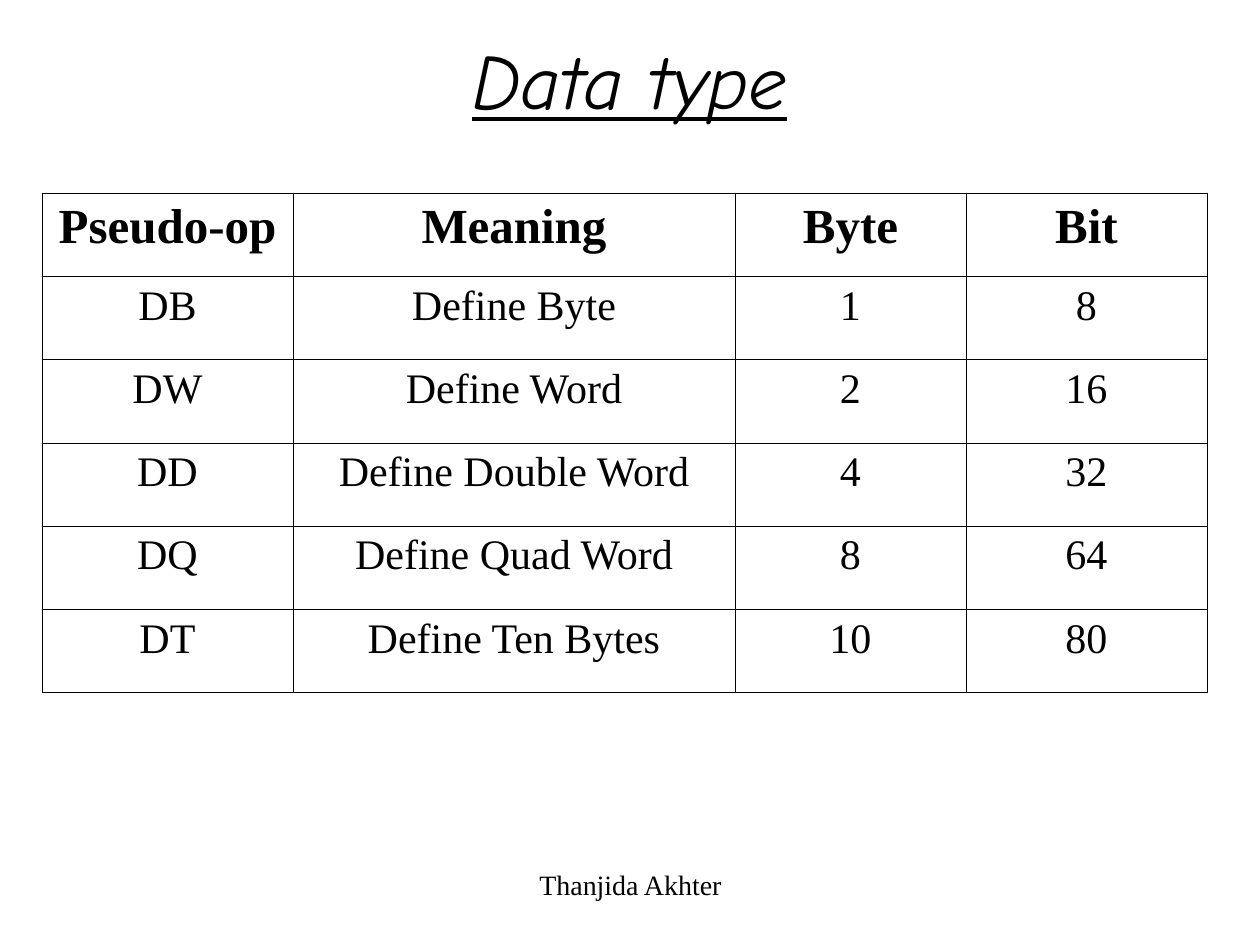
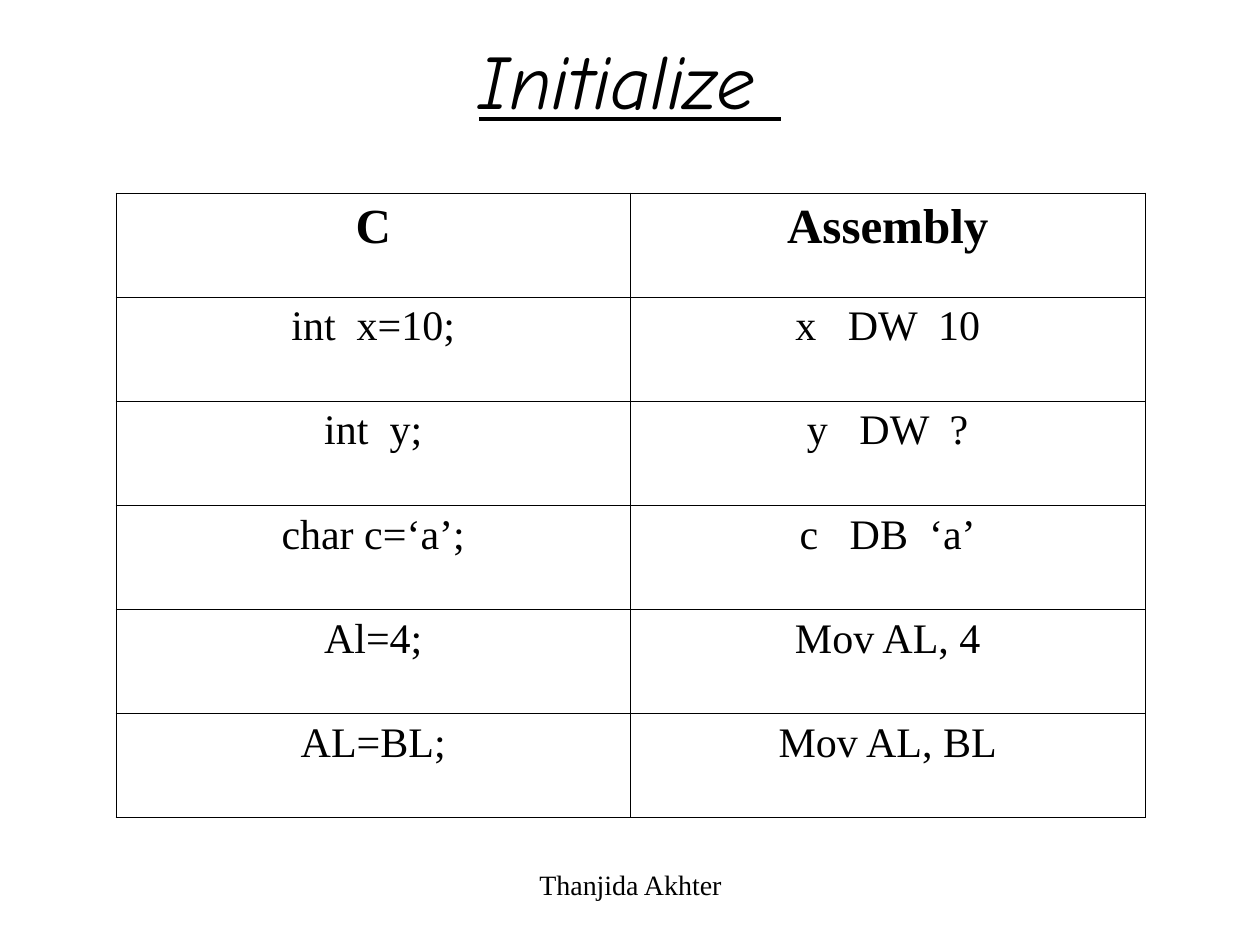
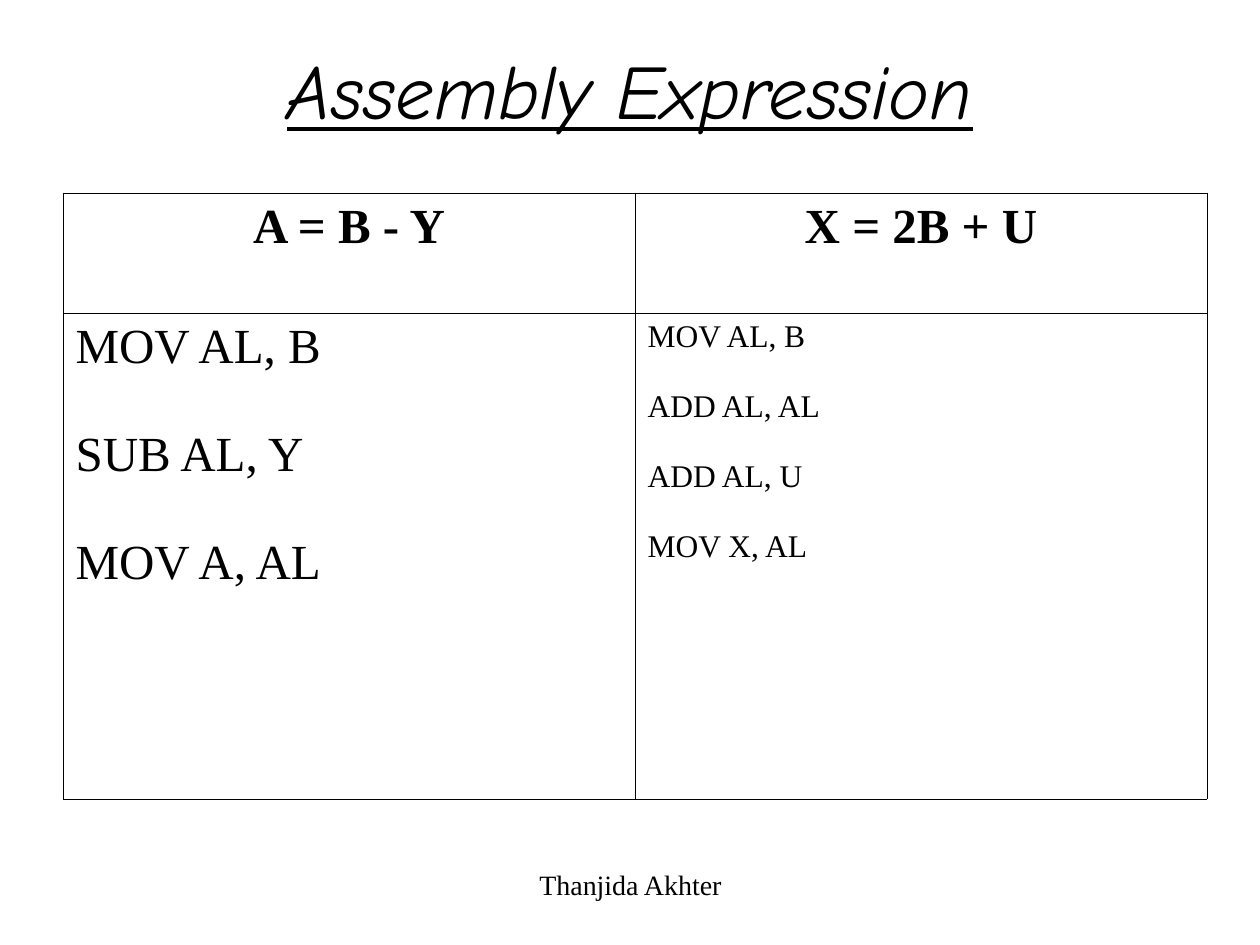
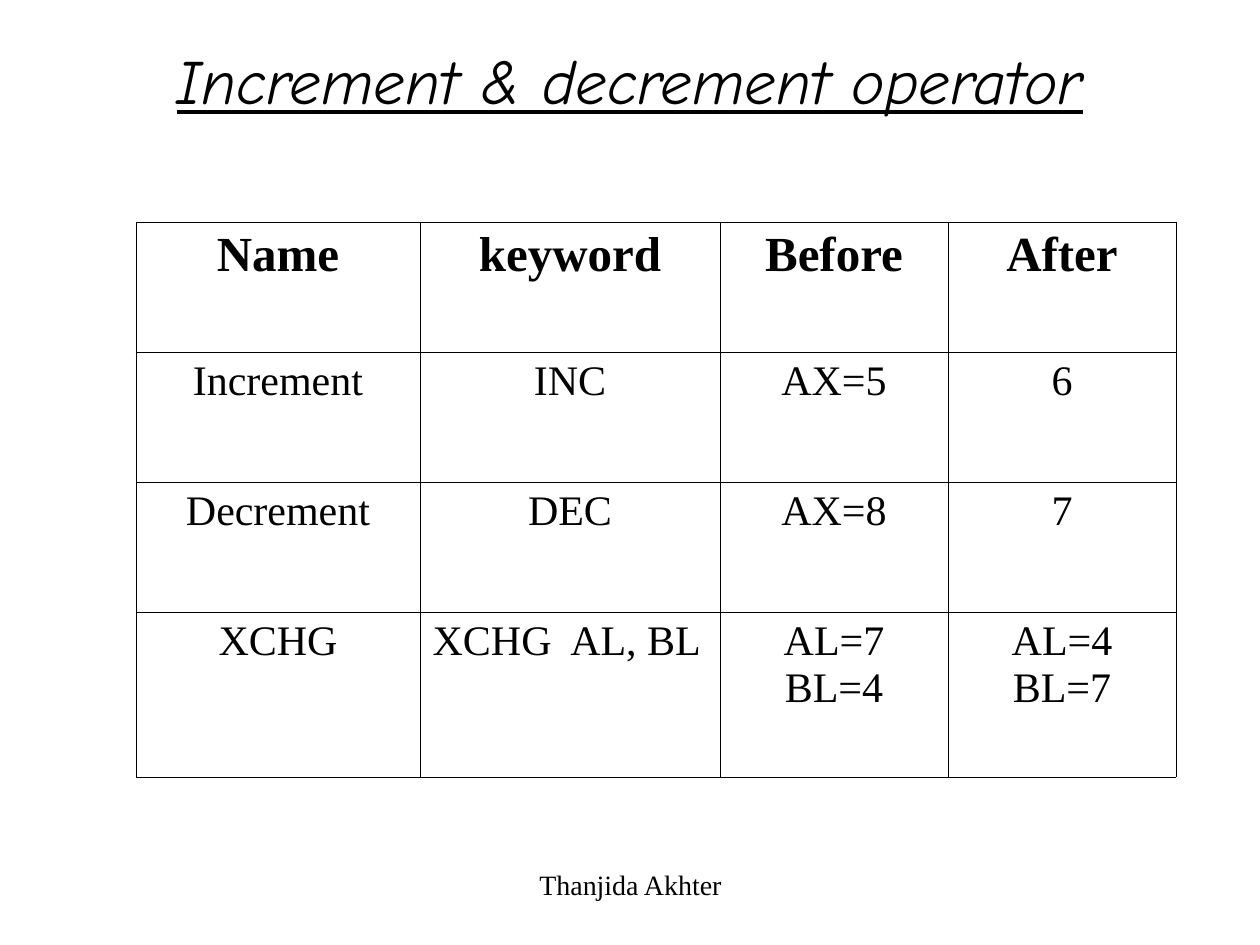
from lxml.etree import SubElement
from pptx import Presentation
from pptx.dml.color import RGBColor
from pptx.enum.text import MSO_ANCHOR, MSO_AUTO_SIZE, PP_ALIGN
from pptx.oxml.ns import qn
from pptx.util import Emu, Pt

# Shared look
BLACK = RGBColor(0x00, 0x00, 0x00)
TITLE_FONT = "Comic Neue"
BODY_FONT = "Times New Roman"
HEADER_SIZE, BODY_SIZE = 28, 24
BORDER_WIDTH = Pt(0.45)
AUTHOR = "Thanjida Akhter"
TITLE_BOX = (95, 0, 1070, 158)
FOOTER_BOX = (431, 861, 399, 63)
TITLE_ONLY = 5


def px(length):
    """Pixels to EMU, at 126 pixels to the inch."""
    return Emu(round(length * 914400 / 126))


def place(shape, box):
    shape.left, shape.top, shape.width, shape.height = map(px, box)


def write(frame, text, size=BODY_SIZE, font=BODY_FONT, bold=False, italic=False,
          underline=False, align=PP_ALIGN.CENTER, gap=0):
    """Write one paragraph per line of text, with a gap in points between them."""
    for number, line in enumerate(text.split("\n")):
        paragraph = frame.add_paragraph() if number else frame.paragraphs[0]
        paragraph.alignment = align
        paragraph.space_before = Pt(gap if number else 0)
        run = paragraph.add_run()
        run.text = line
        run.font.size = Pt(size)
        run.font.name = font
        run.font.bold = bold
        run.font.italic = italic
        run.font.underline = underline
        run.font.color.rgb = BLACK


def add_title(slide, text, box=TITLE_BOX, size=44):
    title = slide.shapes.title
    place(title, box)
    frame = title.text_frame
    frame.word_wrap = True
    frame.auto_size = MSO_AUTO_SIZE.NONE
    frame.vertical_anchor = MSO_ANCHOR.MIDDLE
    write(frame, text, size=size, font=TITLE_FONT, italic=True, underline=True)


def add_footer(slide, box=FOOTER_BOX):
    footer = slide.shapes.add_textbox(*map(px, box))
    footer.text_frame.word_wrap = True
    write(footer.text_frame, AUTHOR, size=16)


def outline_cell(cell):
    """Draw a thin black border on all four sides, with no fill."""
    properties = cell._tc.get_or_add_tcPr()
    for side in ("a:lnL", "a:lnR", "a:lnT", "a:lnB"):
        border = SubElement(properties, qn(side), w=str(BORDER_WIDTH))
        fill = SubElement(border, qn("a:solidFill"))
        SubElement(fill, qn("a:srgbClr"), val=str(BLACK))
    cell.fill.background()


def add_grid(slide, box, rows, widths=None, heights=None, formats=None):
    """Ruled table with a bold header row; tracks are equal unless given.

    formats maps (row, column) to text options that differ from the usual.
    """
    width, height = box[2:]
    column_count, row_count = len(rows[0]), len(rows)
    grid = slide.shapes.add_table(row_count, column_count, *map(px, box)).table
    grid.first_row = grid.horz_banding = False
    for column, track in zip(grid.columns, widths or [width / column_count] * column_count):
        column.width = px(track)
    for row, track in zip(grid.rows, heights or [height / row_count] * row_count):
        row.height = px(track)

    for r, texts in enumerate(rows):
        usual = {"size": BODY_SIZE if r else HEADER_SIZE, "bold": r == 0}
        for c, text in enumerate(texts):
            cell = grid.cell(r, c)
            outline_cell(cell)
            write(cell.text_frame, text, **{**usual, **(formats or {}).get((r, c), {})})


def add_table_slide(deck, heading, box, rows, title_options=None, **grid_options):
    slide = deck.slides.add_slide(deck.slide_layouts[TITLE_ONLY])
    add_title(slide, heading, **(title_options or {}))
    add_grid(slide, box, rows, **grid_options)
    add_footer(slide)


deck = Presentation()
deck.slide_width, deck.slide_height = px(1260), px(945)

# Data types
add_table_slide(
    deck, "Data type", (42, 193, 1165, 500),
    [("Pseudo-op", "Meaning", "Byte", "Bit"),
     ("DB", "Define Byte", "1", "8"),
     ("DW", "Define Word", "2", "16"),
     ("DD", "Define Double Word", "4", "32"),
     ("DQ", "Define Quad Word", "8", "64"),
     ("DT", "Define Ten Bytes", "10", "80")],
    widths=(251, 442, 231, 241))

# Initialisation in C and in assembly
add_table_slide(
    deck, "Initialize ", (116, 193, 1029, 625),
    [("C", "Assembly"),
     ("int  x=10;", "x   DW  10"),
     ("int  y;", "y   DW  ?"),
     ("char c=‘a’;", "c   DB  ‘a’"),
     ("Al=4;", "Mov AL, 4"),
     ("AL=BL;", "Mov AL, BL")])

# Expressions
add_table_slide(
    deck, "Assembly Expression", (63, 193, 1144, 606),
    [("A = B - Y", "X = 2B + U"),
     ("MOV AL, B\nSUB AL, Y\nMOV A, AL",
      "MOV AL, B\nADD AL, AL\nADD AL, U\nMOV X, AL")],
    title_options={"box": (95, 10, 1070, 158)},
    heights=(120, 486),
    formats={(1, 0): {"size": 28, "align": PP_ALIGN.LEFT, "gap": 31},
             (1, 1): {"size": 18, "align": PP_ALIGN.LEFT, "gap": 20}})

# Increment, decrement and exchange
add_table_slide(
    deck, "Increment & decrement operator", (136, 222, 1040, 555),
    [("Name", "keyword", "Before", "After"),
     ("Increment", "INC", "AX=5", "6"),
     ("Decrement", "DEC", "AX=8", "7"),
     ("XCHG", "XCHG  AL, BL", "AL=7\nBL=4", "AL=4\nBL=7")],
    title_options={"box": (0, 0, 1260, 158), "size": 36},
    widths=(284, 300, 228, 228),
    heights=(130, 130, 130, 165),
    formats={(3, 1): {"align": PP_ALIGN.LEFT}})

deck.save("out.pptx")
